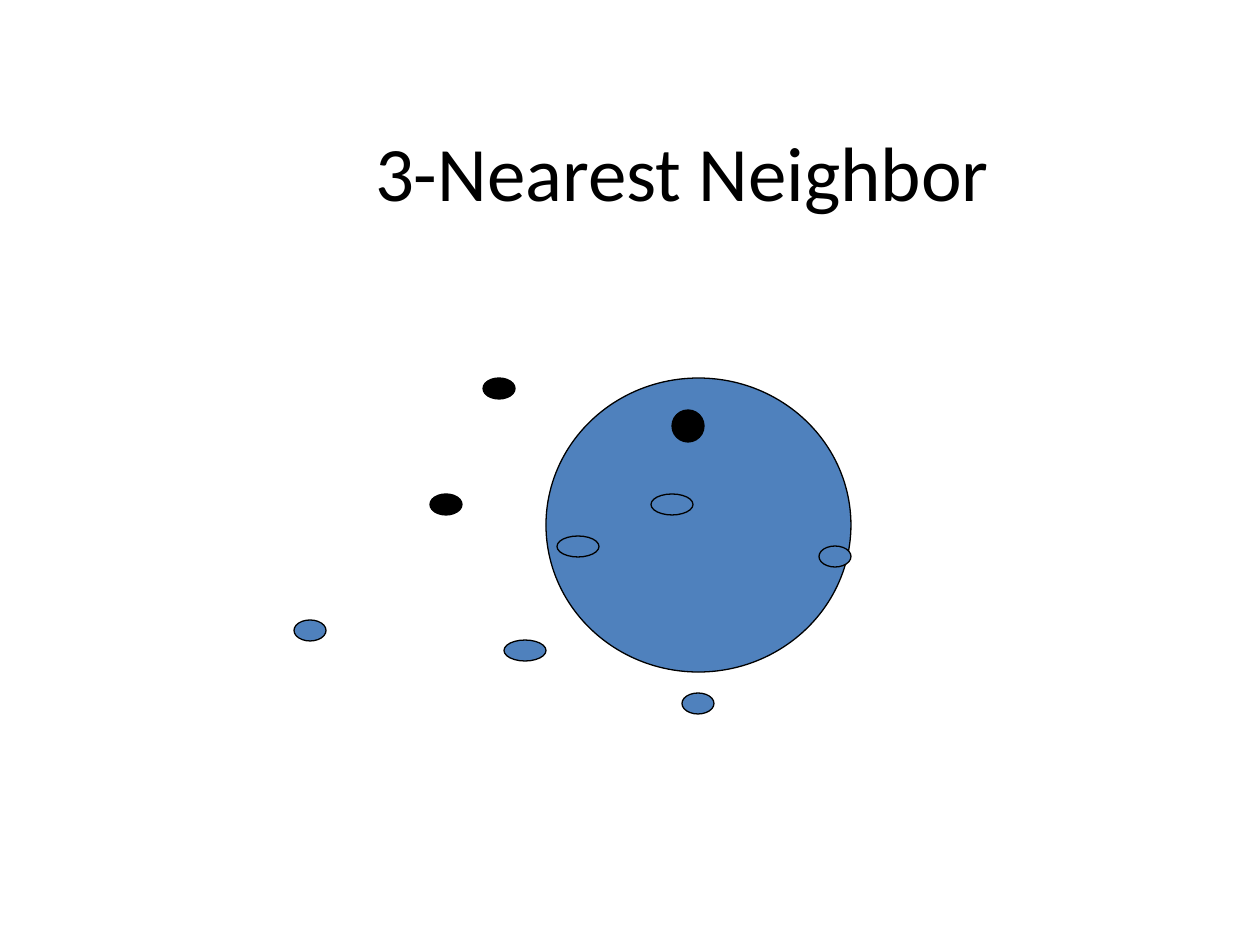
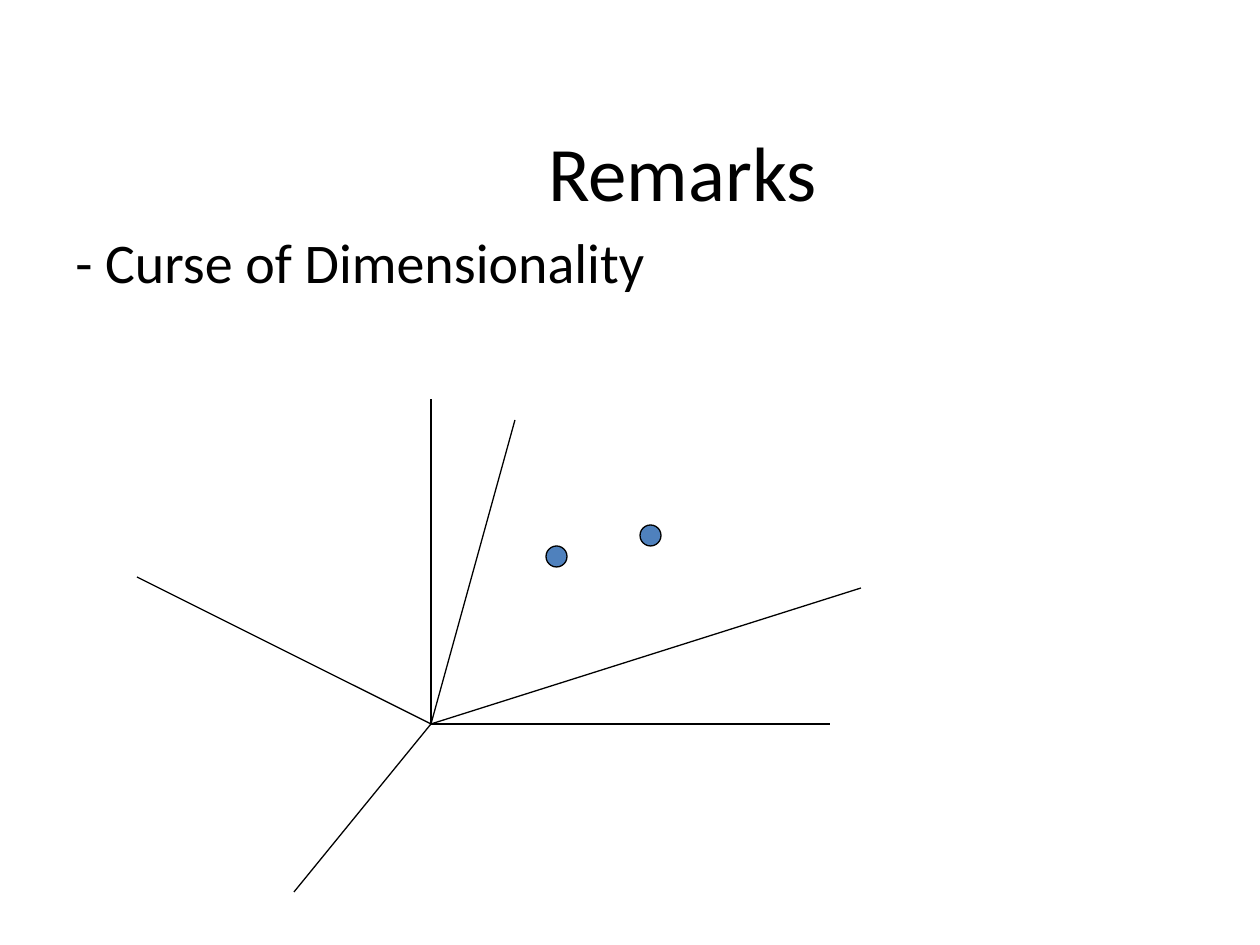
from pptx import Presentation
from pptx import util as u
from pptx.dml.color import RGBColor
from pptx.enum import shapes, text
from pptx.oxml.ns import qn
from lxml import etree

PX_PER_INCH = 126
BLUE = RGBColor(0x4F, 0x81, 0xBD)
BLACK = RGBColor(0, 0, 0)
FONT = "Calibri"
LINE_WIDTH = u.Pt(0.75)

TITLE_BOX = (120, 118, 1125, 105)
BODY_BOX = (63, 221, 1134, 624)
SCATTER_BOX = (294, 378)
AXES_BOX = (137, 399)

# Neighbourhood circle and sample points: left, top, width, height, fill
NEIGHBORHOOD = (252, 0, 305, 294, BLUE)
SAMPLES = [
    (136, 116, 32, 21, BLACK),
    (357, 116, 42, 21, BLUE),
    (525, 168, 32, 21, BLUE),
    (189, 0, 32, 21, BLACK),
    (378, 32, 32, 32, BLACK),
    (0, 242, 32, 21, BLUE),
    (388, 315, 32, 21, BLUE),
    (210, 262, 42, 21, BLUE),
    (263, 158, 42, 21, BLUE),
]

# Axes that fan out from one origin, and the points between them
ORIGIN = (294, 325)
AXIS_ENDS = [(294, 0), (693, 325), (157, 493), (724, 189), (0, 178), (378, 21)]
POINTS = [(409, 147), (503, 126)]
POINT_SIZE = 21


def px(length):
    return u.Emu(round(length * 914400 / PX_PER_INCH))


def style_paragraph(paragraph, size, alignment):
    paragraph.alignment = alignment
    paragraph.space_before = u.Pt(0)
    for run in paragraph.runs:
        run.font.name = FONT
        run.font.size = u.Pt(size)
        run.font.color.rgb = BLACK


def add_titled_slide(presentation, title_text):
    slide = presentation.slides.add_slide(presentation.slide_layouts[5])
    title = slide.shapes.title
    title.left, title.top, title.width, title.height = map(px, TITLE_BOX)
    frame = title.text_frame
    frame.text = title_text
    frame.auto_size = text.MSO_AUTO_SIZE.NONE
    frame.vertical_anchor = text.MSO_ANCHOR.MIDDLE
    style_paragraph(frame.paragraphs[0], 44, text.PP_ALIGN.CENTER)
    return slide


def add_body(slide, box, body_text):
    body = slide.shapes.add_textbox(*map(px, box))
    frame = body.text_frame
    frame.word_wrap = True
    frame.text = body_text
    style_paragraph(frame.paragraphs[0], 32, text.PP_ALIGN.LEFT)


def add_ellipse(slide, left, top, width, height, fill):
    ellipse = slide.shapes.add_shape(
        shapes.MSO_SHAPE.OVAL, px(left), px(top), px(width), px(height))
    ellipse.shadow.inherit = False
    ellipse.fill.solid()
    ellipse.fill.fore_color.rgb = fill
    ellipse.line.color.rgb = BLACK
    ellipse.line.width = LINE_WIDTH


def add_axis(slide, start, end):
    axis = slide.shapes.add_connector(
        shapes.MSO_CONNECTOR.STRAIGHT, *map(px, (*start, *end)))
    axis.line.color.rgb = BLACK
    axis.line.width = LINE_WIDTH
    etree.SubElement(axis._element.spPr, qn("a:effectLst"))


def add_scatter(slide, box):
    left, top = box
    for x, y, width, height, fill in [NEIGHBORHOOD, *SAMPLES]:
        add_ellipse(slide, left + x, top + y, width, height, fill)


def add_axes(slide, box):
    left, top = box
    origin = (left + ORIGIN[0], top + ORIGIN[1])
    for x, y in AXIS_ENDS:
        add_axis(slide, origin, (left + x, top + y))
    for x, y in POINTS:
        add_ellipse(slide, left + x, top + y, POINT_SIZE, POINT_SIZE, BLUE)


def main():
    presentation = Presentation()
    presentation.slide_width = u.Inches(10)
    presentation.slide_height = u.Inches(7.5)

    # Nearest neighbours
    slide = add_titled_slide(presentation, "3-Nearest Neighbor")
    add_scatter(slide, SCATTER_BOX)

    # Dimensionality
    slide = add_titled_slide(presentation, "Remarks")
    add_body(slide, BODY_BOX, "- Curse of Dimensionality")
    add_axes(slide, AXES_BOX)

    presentation.save("out.pptx")


if __name__ == "__main__":
    main()
